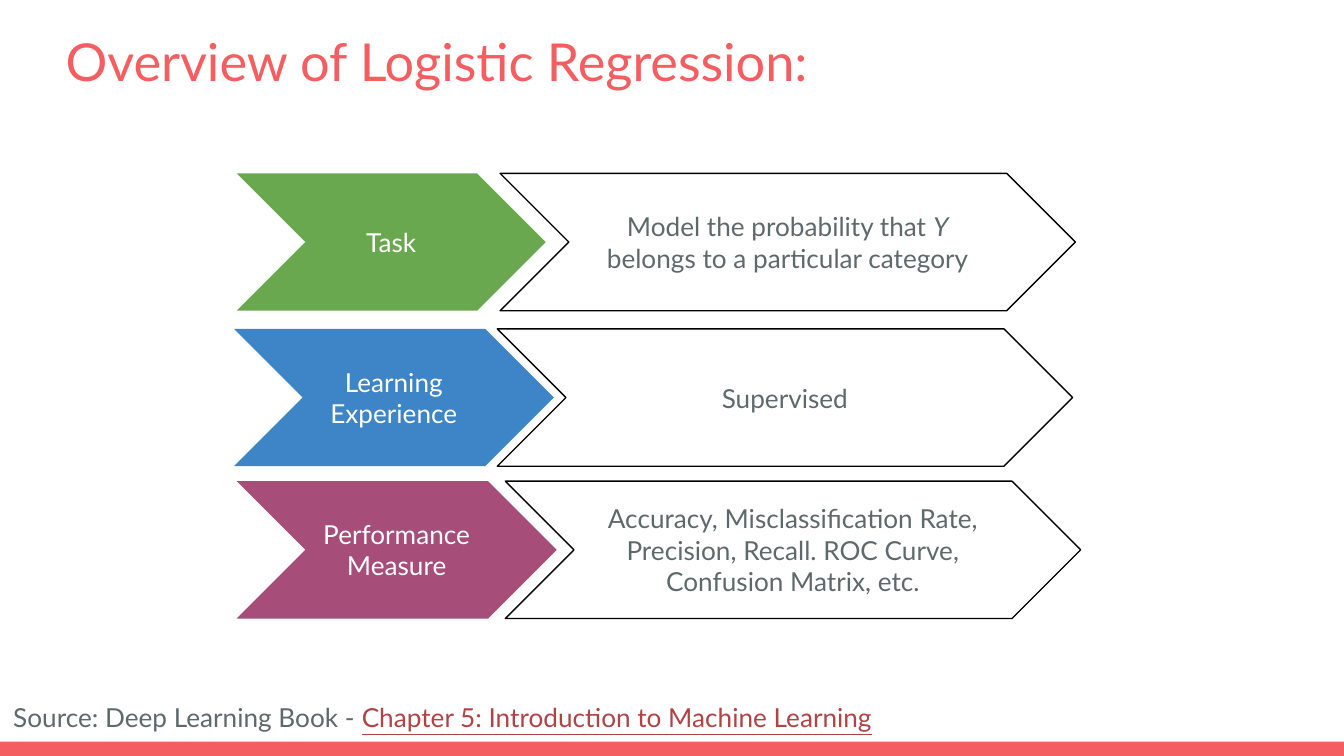
from dataclasses import dataclass
from pptx import Presentation
from pptx.dml.color import RGBColor
from pptx.enum import shapes, text
from pptx.util import Pt

# Content
TITLE = [("Overview of Logistic Regression:", "")]
SOURCE = [("Source: Deep Learning Book - ", ""),
          ("Chapter 5: Introduction to Machine Learning", "link")]
# label, fill, detail runs, top, label left, label width, detail left
ROWS = [
    ("Task", "6AA84F",
     [("Model the probability that ", ""), ("Y", "italic"),
      (" belongs to a particular category", "")],
     92.9, 126.8, 165.6, 267.9),
    ("Learning Experience", "3D85C6", [("Supervised", "")],
     176.2, 125.3, 171.4, 266.4),
    ("Performance Measure", "A64D79",
     [("Accuracy, Misclassification Rate, Precision, Recall. "
       "ROC Curve, Confusion Matrix, etc.", "")],
     257.8, 126.8, 171.4, 270.7),
]
ROW_H, DETAIL_W = 73.6, 308.2


@dataclass(frozen=True)
class Theme:
    font: str = "Lato"
    title_size: int = 28
    body_size: int = 14
    accent: str = "F55E61"
    body: str = "5E696C"
    link: str = "AF4345"
    white: str = "FFFFFF"
    outline: str = "000000"


T = Theme()
rgb = RGBColor.from_string


def write(sp, runs, color, size=T.body_size, align=text.PP_ALIGN.LEFT,
          anchor=text.MSO_ANCHOR.TOP):
    tf = sp.text_frame
    tf.word_wrap = True
    tf.vertical_anchor = anchor
    tf.margin_left = tf.margin_right = tf.margin_top = tf.margin_bottom = Pt(7.2)
    p = tf.paragraphs[0]
    p.alignment = align
    p.font.name, p.font.size = T.font, Pt(size)
    p.font.color.rgb = rgb(color)
    for words, style in runs:
        r = p.add_run()
        r.text = words
        if style == "italic":
            r.font.italic = True
        elif style == "link":
            r.font.underline = True
            r.font.color.rgb = rgb(T.link)


def add_block(kind, box, fill, line=None):
    sp = s.shapes.add_shape(kind, *map(Pt, box))
    sp.shadow.inherit = False
    sp.fill.solid()
    sp.fill.fore_color.rgb = rgb(fill)
    if line:
        sp.line.color.rgb = rgb(line)
        sp.line.width = Pt(0.75)
    else:
        sp.line.fill.background()
    return sp


def add_chevron(box, runs, fill, color, line=None):
    sp = add_block(shapes.MSO_SHAPE.CHEVRON, box, fill, line)
    sp.adjustments[0] = 0.5
    write(sp, runs, color, align=text.PP_ALIGN.CENTER,
          anchor=text.MSO_ANCHOR.MIDDLE)


def add_text(box, runs, color, size=T.body_size):
    write(s.shapes.add_textbox(*map(Pt, box)), runs, color, size)


# Slide
prs = Presentation()
prs.slide_width, prs.slide_height = Pt(720), Pt(405)
s = prs.slides.add_slide(prs.slide_layouts[6])

# Footer bar and title
add_block(shapes.MSO_SHAPE.RECTANGLE, (0, 397.4, 720, 7.6), T.accent)
add_text((28.1, 8.6, 671, 49), TITLE, T.accent, T.title_size)

# Chevron rows
for label, fill, detail, top, left, width, detail_left in ROWS:
    add_chevron((left, top, width, ROW_H), [(label, "")], fill, T.white)
    add_chevron((detail_left, top, DETAIL_W, ROW_H), detail, T.white, T.body,
                T.outline)

# Source line
add_text((0, 368.6, 481.7, 26.6), SOURCE, T.body)

prs.save("out.pptx")
